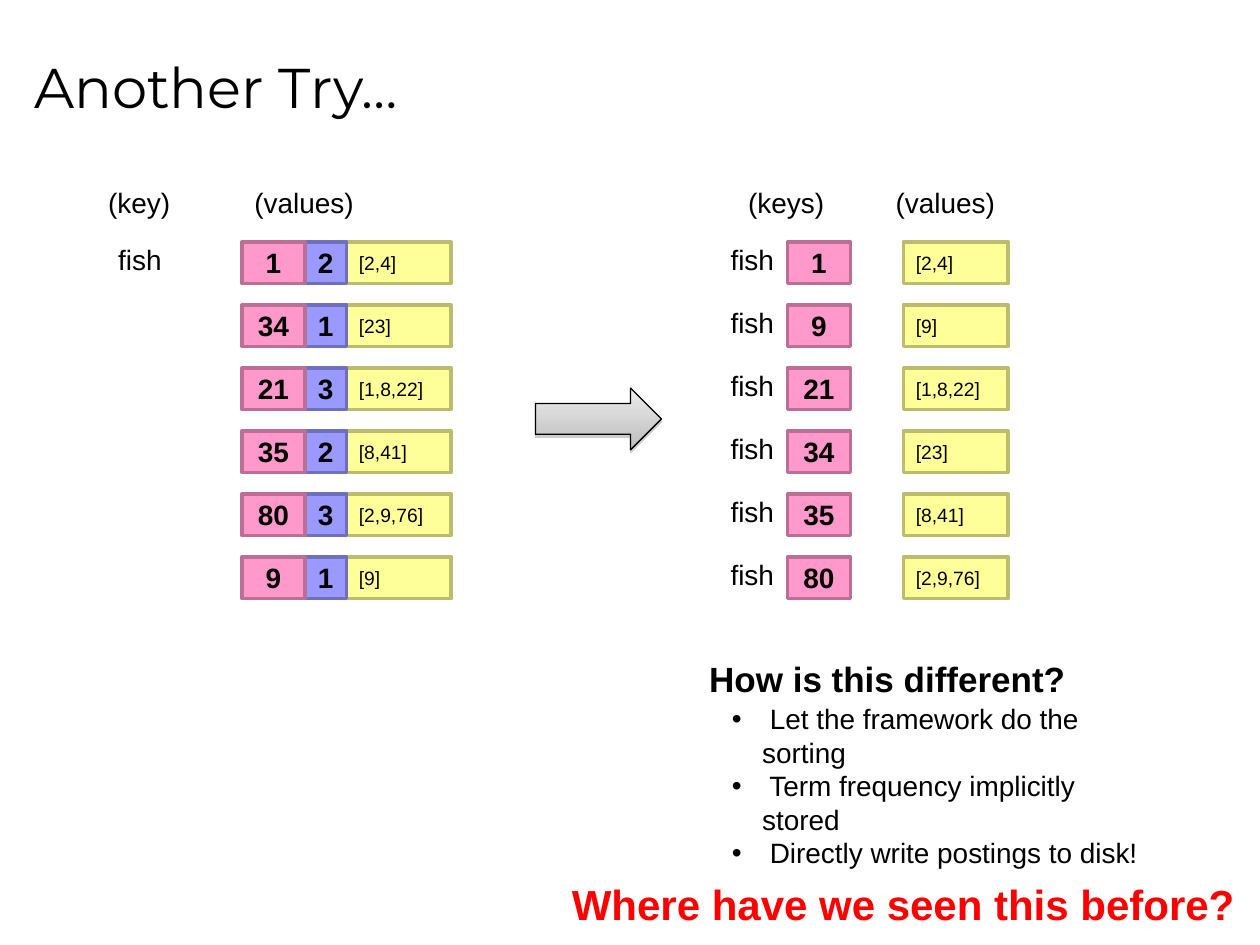
import pptx
import pptx.util
from lxml import etree
from pptx.dml.color import RGBColor
from pptx.enum.shapes import MSO_SHAPE
from pptx.enum.text import MSO_ANCHOR, MSO_AUTO_SIZE, PP_ALIGN
from pptx.oxml.ns import qn
from pptx.util import Inches

TITLE = "Another Try…"
# document number, term frequency, positions
POSTINGS_BEFORE = [
    ("1", "2", "[2,4]"),
    ("34", "1", "[23]"),
    ("21", "3", "[1,8,22]"),
    ("35", "2", "[8,41]"),
    ("80", "3", "[2,9,76]"),
    ("9", "1", "[9]"),
]
POSTINGS_AFTER = sorted(POSTINGS_BEFORE, key=lambda posting: int(posting[0]))
# text, left, width
HEADINGS = [
    ("(key)", 0.76, 0.69),
    ("(values)", 1.92, 0.99),
    ("(keys)", 5.84, 0.8),
    ("(values)", 7.01, 0.99),
]
TERM = "fish"
# left, number of rows
TERM_COLUMNS = [(0.84, 1), (5.7, len(POSTINGS_AFTER))]
ADVANTAGES = [
    " Let the framework do the sorting",
    " Term frequency implicitly stored",
    " Directly write postings to disk!",
]
# fill, line, width, size, bold, alignment
POSITIONS = ("FFFF99", "BCBC6F", 0.83, 11, False, PP_ALIGN.LEFT)
FREQUENCY = ("9999FF", "6F6FBC", 0.33, 16, True, PP_ALIGN.CENTER)
DOCUMENT = ("FF99CC", "BC6F95", 0.5, 16, True, PP_ALIGN.CENTER)
# postings, field of the posting, left, style; from back to front
COLUMNS = [
    (POSTINGS_BEFORE, 2, 2.75, POSITIONS),
    (POSTINGS_AFTER, 2, 7.17, POSITIONS),
    (POSTINGS_BEFORE, 1, 2.42, FREQUENCY),
    (POSTINGS_BEFORE, 0, 1.92, DOCUMENT),
    (POSTINGS_AFTER, 0, 6.25, DOCUMENT),
]
ROW_TOP, ROW_PITCH, ROW_HEIGHT = 1.92, 0.5, 0.33
TERM_TOP, TERM_WIDTH = 1.88, 0.57

presentation = pptx.Presentation()
presentation.slide_width, presentation.slide_height = Inches(10), Inches(7.5)
slide = presentation.slides.add_slide(presentation.slide_layouts[5])


def color(value):
    return RGBColor.from_string(value)


def box(left, top, width, height):
    return [Inches(length) for length in (left, top, width, height)]


def format_text(text_frame, size, bold=False, hue="000000", font="Arial",
                alignment=PP_ALIGN.LEFT):
    for paragraph in text_frame.paragraphs:
        paragraph.alignment = alignment
        for run in paragraph.runs:
            run.font.name = font
            run.font.size = pptx.util.Pt(size)
            run.font.bold = bold
            run.font.color.rgb = color(hue)


def add_label(text, left, top, width, height=0.37, size=16, bold=False,
              hue="000000", wrap=False):
    text_frame = slide.shapes.add_textbox(*box(left, top, width, height)).text_frame
    text_frame.text = text
    text_frame.word_wrap = wrap
    text_frame.auto_size = MSO_AUTO_SIZE.SHAPE_TO_FIT_TEXT
    format_text(text_frame, size, bold, hue)
    return text_frame


def add_cell(text, left, top, style):
    fill, line, width, size, bold, alignment = style
    shape = slide.shapes.add_shape(MSO_SHAPE.RECTANGLE, *box(left, top, width, ROW_HEIGHT))
    shape.shadow.inherit = False
    shape.fill.solid()
    shape.fill.fore_color.rgb = color(fill)
    shape.line.color.rgb = color(line)
    shape.line.width = pptx.util.Pt(2)
    shape.text_frame.text = text
    shape.text_frame.vertical_anchor = MSO_ANCHOR.MIDDLE
    format_text(shape.text_frame, size, bold, alignment=alignment)


def add_bullet(paragraph):
    properties = paragraph._p.get_or_add_pPr()
    properties.set("marL", str(Inches(0.24)))
    properties.set("indent", str(Inches(-0.24)))
    etree.SubElement(properties, qn("a:buFont"), typeface="Arial")
    etree.SubElement(properties, qn("a:buChar"), char="•")


def add_arrow():
    arrow = slide.shapes.add_shape(MSO_SHAPE.RIGHT_ARROW, *box(4.25, 3.08, 1, 0.49))
    arrow.fill.gradient()
    arrow.fill.gradient_angle = 270
    for stop, (position, hue) in zip(arrow.fill.gradient_stops,
                                     [(0, "EDEDED"), (1, "BCBCBC")]):
        stop.position = position
        stop.color.rgb = color(hue)
    arrow.line.color.rgb = color("000000")
    arrow.line.width = pptx.util.Pt(0.75)
    arrow.shadow.inherit = False
    effects = arrow._element.spPr.find(qn("a:effectLst"))
    shadow = etree.SubElement(effects, qn("a:outerShdw"), blurRad="0",
                              dist="20000", dir="5400000", rotWithShape="0")
    hue = etree.SubElement(shadow, qn("a:srgbClr"), val="808080")
    etree.SubElement(hue, qn("a:alpha"), val="38000")


title = slide.shapes.title
title.left, title.top, title.width, title.height = box(0.17, 0.12, 9.5, 1.12)
title.text_frame.text = TITLE
title.text_frame.vertical_anchor = MSO_ANCHOR.MIDDLE
format_text(title.text_frame, 32, font="Montserrat")

for text, left, width in HEADINGS:
    add_label(text, left, 1.42, width)

for postings, field, left, style in COLUMNS:
    for row, posting in enumerate(postings):
        add_cell(posting[field], left, ROW_TOP + row * ROW_PITCH, style)

for left, row_count in TERM_COLUMNS:
    for row in range(row_count):
        add_label(TERM, left, TERM_TOP + row * ROW_PITCH, TERM_WIDTH)

add_arrow()
add_label("How is this different?", 5.53, 5.17, 3.03, 0.44, size=20, bold=True)
advantages = add_label("\n".join(ADVANTAGES), 5.71, 5.52, 3.52, 0.9, wrap=True)
for paragraph in advantages.paragraphs:
    add_bullet(paragraph)
add_label("Where have we seen this before?", 4.44, 6.92, 5.46, 0.5,
          size=24, bold=True, hue="FF0000")

presentation.save("out.pptx")
